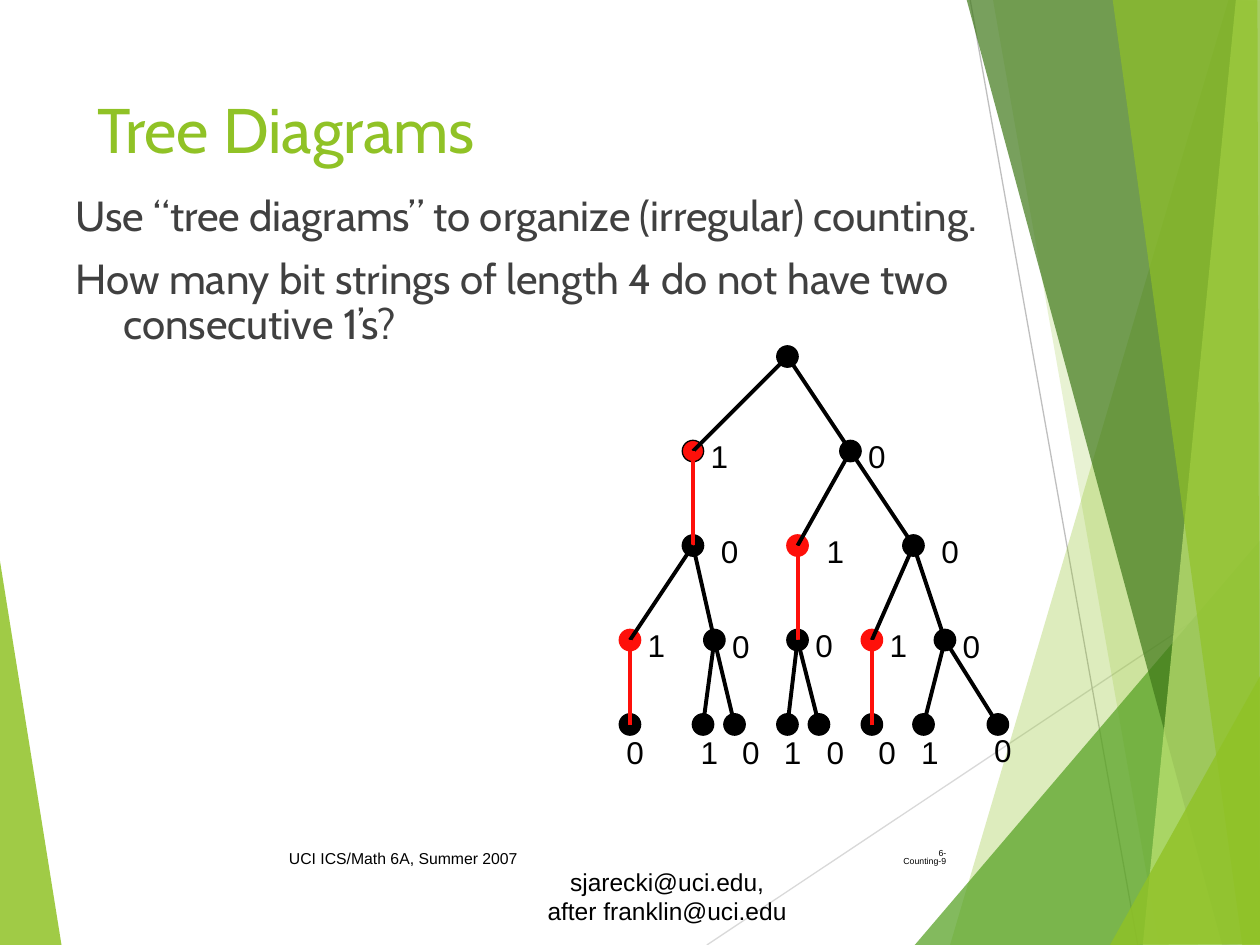
from dataclasses import dataclass

from lxml import etree
from pptx import Presentation
from pptx import util as u
from pptx.dml.color import RGBColor
from pptx.enum import shapes, text
from pptx.oxml.ns import qn

COLORS = {
    "green": "90C226", "leaf": "54A021", "forest": "3F7819", "lime": "C0E474",
    "pale": "D9D9D9", "gray": "BFBFBF", "body": "404040",
    "black": "000000", "red": "FE100A",
}
NODE_SIZE = 0.17
LEAF_LEVEL = 4
LEVEL_Y = [2.83, 3.58, 4.33, 5.08, 5.75]
LABEL_Y = [None, 3.42, 4.17, 4.92, 5.77]


@dataclass
class Facet:
    points: list[tuple[float, float]]
    color: str
    opacity: int


@dataclass
class Node:
    bits: str  # digits along the branch from the root
    x: float
    label_x: float = 0
    label_shift: float = 0

    @property
    def level(self) -> int:
        return len(self.bits)

    @property
    def y(self) -> float:
        return LEVEL_Y[self.level]

    @property
    def color(self) -> str:
        is_red = self.bits.endswith("1") and self.level < LEAF_LEVEL
        return "red" if is_red else "black"


FACETS_LEFT = [Facet([(-0.01, 4.39), (0.49, 7.51), (-0.01, 7.5)], "green", 85)]
FACETS_RIGHT = [
    Facet([(9.75, 0), (7.54, 7.5), (10.02, 7.51), (10.01, 0.01)], "green", 30),
    Facet([(7.88, -0.01), (9.2, 7.5), (10.01, 7.5), (10.01, -0.01)], "green", 20),
    Facet([(7.26, 7.5), (10, 4.29), (10.01, 7.5)], "leaf", 72),
    Facet([(7.67, -0.01), (9.7, 7.5), (10.01, 7.49), (10.01, -0.01)], "forest", 70),
    Facet([(9.81, -0.01), (9.07, 7.5), (10.01, 7.5), (10, -0.01)], "lime", 70),
    Facet([(8.83, -0.01), (9.86, 7.5), (10, 7.5), (9.98, -0.01)], "green", 65),
    Facet([(8.81, 7.5), (10.01, 5.35), (10.01, 7.49)], "green", 80),
]
NODES = [
    Node("", 6.25),
    Node("1", 5.5, 5.5), Node("0", 6.75, 6.75),
    Node("10", 5.5, 5.58), Node("01", 6.33, 6.42), Node("00", 7.25, 7.33),
    Node("101", 5, 5), Node("100", 5.67, 5.67, 0.01), Node("010", 6.33, 6.33),
    Node("001", 6.92, 6.92), Node("000", 7.5, 7.5, 0.01),
    Node("1010", 5, 4.83), Node("1001", 5.58, 5.42), Node("1000", 5.83, 5.75),
    Node("0101", 6.25, 6.08), Node("0100", 6.5, 6.42), Node("0010", 6.92, 6.83),
    Node("0001", 7.33, 7.17), Node("0000", 7.92, 7.75, -0.02),
]


def rgb(color: str) -> RGBColor:
    return RGBColor.from_string(COLORS[color])


def set_font(paragraph, name: str, size: float, color: str) -> None:
    paragraph.font.name = name
    paragraph.font.size = u.Pt(size)
    paragraph.font.color.rgb = rgb(color)


def place(shape, left: float, top: float, width: float, height: float) -> None:
    shape.left, shape.top = u.Inches(left), u.Inches(top)
    shape.width, shape.height = u.Inches(width), u.Inches(height)


def draw_line(slide, start, end, color: str, width: float) -> None:
    line = slide.shapes.add_connector(
        shapes.MSO_CONNECTOR.STRAIGHT, *(u.Inches(v) for v in (*start, *end)))
    line.line.color.rgb = rgb(color)
    line.line.width = u.Pt(width)
    etree.SubElement(line._element.spPr, qn("a:effectLst"))


def draw_facet(slide, facet: Facet) -> None:
    first, *rest = [(u.Inches(x), u.Inches(y)) for x, y in facet.points]
    builder = slide.shapes.build_freeform(*first)
    builder.add_line_segments(rest, close=True)
    shape = builder.convert_to_shape()
    shape.shadow.inherit = False
    shape.line.fill.background()
    shape.fill.solid()
    shape.fill.fore_color.rgb = rgb(facet.color)
    tint = shape._element.spPr.find(qn("a:solidFill"))[0]
    etree.SubElement(tint, qn("a:alpha"), val=str(facet.opacity * 1000))


def draw_text(slide, lines: list[str], box, size: float,
              align=text.PP_ALIGN.CENTER, anchor=text.MSO_ANCHOR.TOP,
              spacing: float = 1.0) -> None:
    frame = slide.shapes.add_textbox(*(u.Inches(v) for v in box)).text_frame
    frame.word_wrap = True
    frame.vertical_anchor = anchor
    frame.text = "\n".join(lines)
    for paragraph in frame.paragraphs:
        paragraph.alignment = align
        paragraph.line_spacing = spacing
        set_font(paragraph, "Arial", size, "black")


def draw_node(slide, node: Node) -> None:
    corner = (node.x - NODE_SIZE / 2, node.y - NODE_SIZE / 2)
    dot = slide.shapes.add_shape(
        shapes.MSO_SHAPE.OVAL,
        *(u.Inches(v) for v in (*corner, NODE_SIZE, NODE_SIZE)))
    dot.shadow.inherit = False
    dot.fill.solid()
    dot.fill.fore_color.rgb = rgb(node.color)
    dot.line.color.rgb = rgb("black" if node.level == 1 else node.color)
    dot.line.width = u.Pt(0.75)


def draw_tree(slide, nodes: list[Node]) -> None:
    by_bits = {node.bits: node for node in nodes}
    branches = [node for node in nodes if node.bits]
    for node in branches:
        top = LABEL_Y[node.level] + node.label_shift
        draw_text(slide, [node.bits[-1]], (node.label_x, top, 0.42, 0.4), 18)
    for node in nodes:
        draw_node(slide, node)
    # A branch takes the colour of the node it leaves
    for node in branches:
        parent = by_bits[node.bits[:-1]]
        draw_line(slide, (parent.x, parent.y), (node.x, node.y), parent.color, 2.25)


def fill_title(title) -> None:
    place(title, 0.67, 0.67, 6.94, 1.44)
    title.text_frame.text = "Tree Diagrams"
    title.text_frame.vertical_anchor = text.MSO_ANCHOR.TOP
    heading = title.text_frame.paragraphs[0]
    heading.alignment = text.PP_ALIGN.LEFT
    set_font(heading, "Cabin", 36, "green")


def fill_body(body) -> None:
    place(body, 0.5, 1.5, 8.42, 1.42)
    frame = body.text_frame
    frame.auto_size = text.MSO_AUTO_SIZE.NONE
    frame.text = (
        "Use “tree diagrams” to organize (irregular) counting.\n"
        "How many bit strings of length 4 do not have two consecutive 1’s?")
    for index, paragraph in enumerate(frame.paragraphs):
        properties = paragraph._p.get_or_add_pPr()
        properties.set("marL", str(u.Inches(0.38)))
        properties.set("indent", str(u.Inches(-0.38)))
        etree.SubElement(properties, qn("a:buNone"))
        paragraph.line_spacing = 0.9
        paragraph.space_before = u.Pt(10 if index else 0)
        set_font(paragraph, "Cabin", 24, "body")


def main() -> None:
    deck = Presentation()
    deck.slide_width, deck.slide_height = u.Inches(10), u.Inches(7.5)
    slide = deck.slides.add_slide(deck.slide_layouts[1])
    title, body = slide.placeholders

    # Background facets and thin lines
    for facet in FACETS_LEFT:
        draw_facet(slide, facet)
    draw_line(slide, (5.61, 7.5), (10.01, 4.57), "pale", 0.75)
    draw_line(slide, (7.7, 0), (9.03, 7.5), "gray", 0.75)
    for facet in FACETS_RIGHT:
        draw_facet(slide, facet)
    draw_text(slide, ["sjarecki@uci.edu,", "after franklin@uci.edu"],
              (4.17, 6.83, 2.25, 0.57), 14)

    # Title and body, raised above the background
    fill_title(title)
    fill_body(body)
    for placeholder in (title, body):
        slide.shapes._spTree.append(placeholder._element)

    # Footer
    middle = text.MSO_ANCHOR.MIDDLE
    draw_text(slide, ["UCI ICS/Math 6A, Summer 2007"],
              (0.67, 6.61, 5.06, 0.4), 9, anchor=middle)
    draw_text(slide, ["6-Counting-9"], (7.05, 6.61, 0.56, 0.4), 5,
              align=text.PP_ALIGN.RIGHT, anchor=middle, spacing=0.8)

    # Bit-string tree
    draw_tree(slide, NODES)
    deck.save("out.pptx")


if __name__ == "__main__":
    main()
